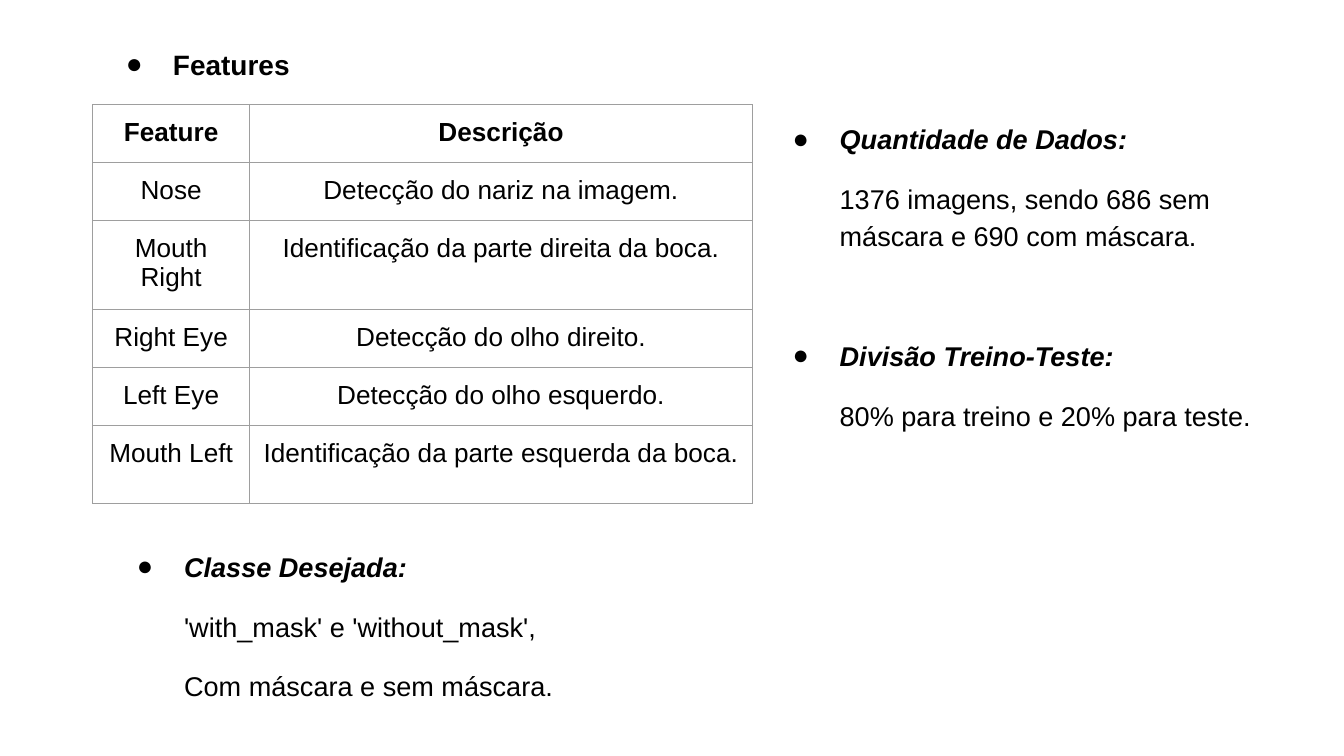
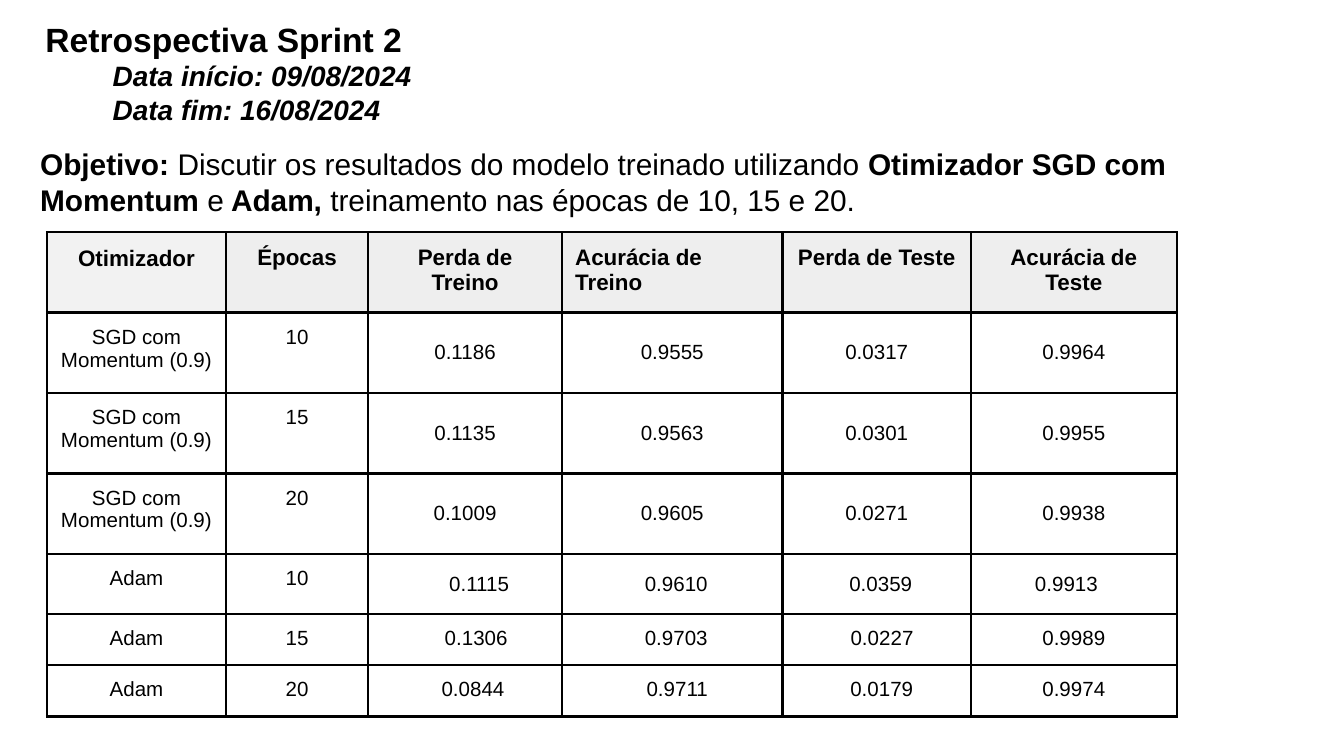
import pptx
import pptx.util
import pptx.dml.color
import pptx.enum.text
import pptx.oxml
import pptx.oxml.ns
from lxml import etree

Cm = pptx.util.Cm
Pt = pptx.util.Pt
RGB = pptx.dml.color.RGBColor
ALIGN = pptx.enum.text.PP_ALIGN
ANCHOR = pptx.enum.text.MSO_ANCHOR

BLACK = RGB(0x00, 0x00, 0x00)
GRID_GRAY = RGB(0x9E, 0x9E, 0x9E)
HEADER_GRAY = RGB(0xEE, 0xEE, 0xEE)
FIRST_HEADER_GRAY = RGB(0xF2, 0xF2, 0xF2)
FONT = "Arial"
INSET = 0.25
INDENT = 1.27
HANG = -0.89
BODY = dict(size=14.5, left=INDENT, line=1.15)
HEAD = dict(BODY, bold=True, italic=True, bullet=True)
DATE = dict(size=15, bold=True, italic=True, first=INDENT)

FEATURES_TITLE = [("Features", dict(size=15, bold=True, bullet=True, left=INDENT))]
TARGET_CLASS = [
    ("Classe Desejada:", HEAD),
    ("'with_mask' e 'without_mask',", dict(BODY, before=12)),
    ("Com máscara e sem máscara.", dict(BODY, before=12, after=12)),
]
DATA_SPLIT = [
    ("Quantidade de Dados:", HEAD),
    ("1376 imagens, sendo 686 sem máscara e 690 com máscara.", dict(BODY, before=12)),
    ("Divisão Treino-Teste:", dict(HEAD, before=44)),
    ("80% para treino e 20% para teste.", dict(BODY, before=12, after=12)),
]
FEATURES = [
    ("Feature", "Descrição"),
    ("Nose", "Detecção do nariz na imagem."),
    ("Mouth Right", "Identificação da parte direita da boca."),
    ("Right Eye", "Detecção do olho direito."),
    ("Left Eye", "Detecção do olho esquerdo."),
    ("Mouth Left", "Identificação da parte esquerda da boca."),
]
FEATURE_COLS = (2.97, 9.5)
FEATURE_ROWS = (1.04, 1.04, 1.6, 1.04, 1.04, 1.47)

SPRINT_TITLE = [
    ("Retrospectiva Sprint 2", dict(size=18, bold=True)),
    ("Data início: 09/08/2024", DATE),
    ("Data fim: 16/08/2024", DATE),
]
OBJECTIVE = [([
    ("Objetivo:", True),
    (" Discutir os resultados do modelo treinado utilizando ", False),
    ("Otimizador SGD com Momentum ", True),
    ("e", False),
    (" Adam,", True),
    (" treinamento nas épocas de 10, 15 e 20.", False),
], dict(size=16))]
SGD = "SGD com Momentum (0.9)"
RESULTS = [
    ("Otimizador", "Épocas", "Perda de Treino", "Acurácia de Treino",
     "Perda de Teste", "Acurácia de Teste"),
    (SGD, "10", "0.1186", "0.9555", "0.0317", "0.9964"),
    (SGD, "15", "0.1135", "0.9563", "0.0301", "0.9955"),
    (SGD, "20", "0.1009", "0.9605", "0.0271", "0.9938"),
    ("Adam", "10", "0.1115", "0.9610", "0.0359", "0.9913"),
    ("Adam", "15", "0.1306", "0.9703", "0.0227", "0.9989"),
    ("Adam", "20", "0.0844", "0.9711", "0.0179", "0.9974"),
]
RESULT_COLS = (3.38, 2.69, 3.66, 4.17, 3.56, 3.89)
RESULT_ROWS = (1.22, 1.52, 1.52, 1.52, 1.14, 0.79, 0.79)
VALUE_INDENTS = {
    4: (0, 0, 0.53, 0.15, 0.15, 0.96),
    5: (0, 0, 0.42, 0.15, 0.2, 0),
    6: (0, 0, 0.3, 0.19, 0.19, 0),
}
LEFT_ALIGNED = {(0, 3), (4, 5)}


def add_child(parent, tag, **attrs):
    child = etree.SubElement(parent, pptx.oxml.ns.qn(tag))
    for name, value in attrs.items():
        child.set(name, str(value))
    return child


def set_paragraph(p, text, size, bold=False, italic=False, bullet=False, left=0,
                  first=0, line=None, before=0, after=0, align=None):
    p.alignment = align
    p.line_spacing = line
    p.space_before = Pt(before)
    p.space_after = Pt(after)
    pPr = p._p.get_or_add_pPr()
    pPr.set("marL", str(Cm(left)))
    pPr.set("indent", str(Cm(HANG if bullet else first)))
    if bullet:
        add_child(add_child(pPr, "a:buClr"), "a:srgbClr", val=BLACK)
        add_child(pPr, "a:buFont", typeface=FONT)
        add_child(pPr, "a:buChar", char="●")
    p.font.name = FONT
    p.font.size = Pt(size)
    p.font.color.rgb = BLACK
    if isinstance(text, str):
        p.font.bold = bold
        p.font.italic = italic
        p.add_run().text = text
    else:
        for words, strong in text:
            r = p.add_run()
            r.text = words
            r.font.bold = strong


def add_text(slide, x, y, w, h, paragraphs):
    tf = slide.shapes.add_textbox(Cm(x), Cm(y), Cm(w), Cm(h)).text_frame
    tf.word_wrap = True
    tf.auto_size = pptx.enum.text.MSO_AUTO_SIZE.SHAPE_TO_FIT_TEXT
    tf.margin_left = tf.margin_right = tf.margin_top = tf.margin_bottom = Cm(INSET)
    for i, (text, style) in enumerate(paragraphs):
        p = tf.add_paragraph() if i else tf.paragraphs[0]
        set_paragraph(p, text, **style)


def set_borders(cell, color, width):
    tcPr = cell._tc.get_or_add_tcPr()
    for side in "LRTB":
        ln = add_child(tcPr, "a:ln" + side, w=Pt(width))
        add_child(add_child(ln, "a:solidFill"), "a:srgbClr", val=color)


def add_grid(slide, x, y, cols, rows, data, border, style_cell):
    table = slide.shapes.add_table(len(rows), len(cols), Cm(x), Cm(y),
                                   Cm(sum(cols)), Cm(sum(rows))).table
    table.first_row = False
    table.horz_banding = False
    for column, width in zip(table.columns, cols):
        column.width = Cm(width)
    for row, height in zip(table.rows, rows):
        row.height = Cm(height)
    for i, texts in enumerate(data):
        for j, text in enumerate(texts):
            cell = table.cell(i, j)
            style, fill, anchor, inset = style_cell(i, j)
            cell.margin_left = cell.margin_right = Cm(inset)
            cell.margin_top = cell.margin_bottom = Cm(inset)
            cell.vertical_anchor = anchor
            set_borders(cell, *border)
            if fill is None:
                cell.fill.background()
            else:
                cell.fill.solid()
                cell.fill.fore_color.rgb = fill
            set_paragraph(cell.text_frame.paragraphs[0], text, **style)


def feature_cell(i, j):
    return dict(size=14, bold=i == 0, align=ALIGN.CENTER), None, ANCHOR.TOP, INSET


def result_cell(i, j):
    header = i == 0
    style = dict(size=12 if header else 11, bold=header,
                 align=ALIGN.LEFT if (i, j) in LEFT_ALIGNED else ALIGN.CENTER)
    if i in VALUE_INDENTS:
        style["left"] = VALUE_INDENTS[i][j]
    if header and j == 0:
        style.update(line=1.15, before=15, after=15)
        return style, FIRST_HEADER_GRAY, ANCHOR.TOP, 0.2
    anchor = ANCHOR.MIDDLE if 1 <= i <= 4 and j >= 2 else ANCHOR.TOP
    return style, HEADER_GRAY if header else None, anchor, INSET


def main():
    prs = pptx.Presentation()
    prs.slide_width = Cm(25.4)
    prs.slide_height = Cm(14.29)
    blank = prs.slide_layouts[6]

    slide = prs.slides.add_slide(blank)
    add_text(slide, 1.75, 0.64, 5.08, 1.14, FEATURES_TITLE)
    add_text(slide, 1.96, 10.06, 10.74, 3.4, TARGET_CLASS)
    add_text(slide, 14.35, 1.98, 10.46, 6.4, DATA_SPLIT)
    add_grid(slide, 1.75, 1.98, FEATURE_COLS, FEATURE_ROWS, FEATURES,
             (GRID_GRAY, 0.75), feature_cell)

    slide = prs.slides.add_slide(blank)
    add_text(slide, 0.61, 0.1, 10.64, 3.33, SPRINT_TITLE)
    add_text(slide, 0.51, 2.51, 22.81, 1.88, OBJECTIVE)
    add_grid(slide, 0.89, 4.39, RESULT_COLS, RESULT_ROWS, RESULTS,
             (BLACK, 1.5), result_cell)

    prs.save("out.pptx")


if __name__ == "__main__":
    main()
